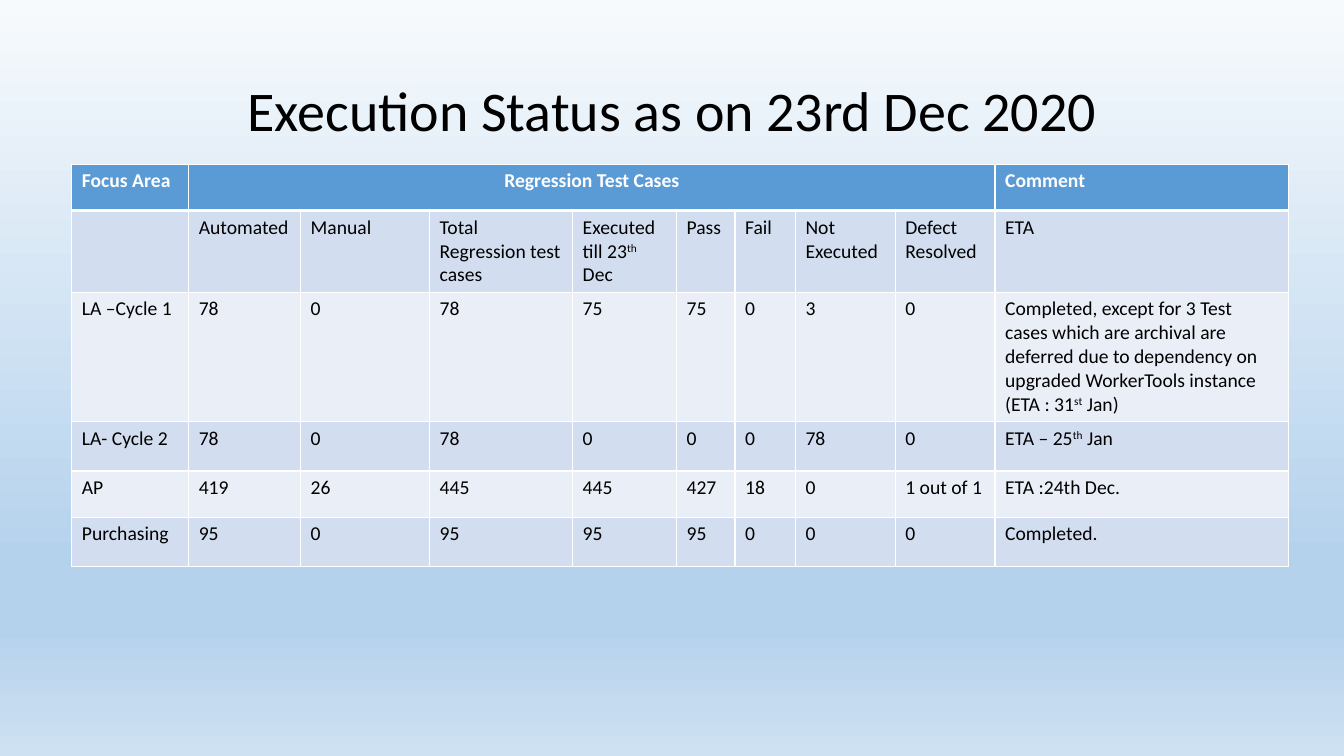
"""Build the regression test execution status slide."""
import pptx
import pptx.util
import pptx.dml.color
import pptx.enum.text
import pptx.oxml
import pptx.oxml.ns

Pt = pptx.util.Pt
ALIGN = pptx.enum.text.PP_ALIGN
NS = pptx.oxml.ns.nsdecls("a")
COLORS = {"sky_top": "F7FAFD", "sky_mid": "B5D2EC", "sky_low": "CEE1F2",
          "header": "5B9BD5", "band_dark": "D2DEEF", "band_light": "EAEFF7",
          "white": "FFFFFF", "black": "000000"}
SKY = [(0, "sky_top"), (74, "sky_mid"), (83, "sky_mid"), (100, "sky_low")]
WIDTHS = [83.5, 79.9, 92.2, 102.2, 74.2, 41.8, 43.2, 71.3, 71.3, 209.5]
HEIGHTS = [33.1, 58, 92, 35.3, 33.1, 35.3]
STATUS = [
    ["Focus Area", "Regression Test Cases"] + [""] * 7 + ["Comment"],
    ["", "Automated", "Manual", "Total Regression test cases", "Executed till 23^th^ Dec",
     "Pass", "Fail", "Not Executed", "Defect Resolved", "ETA"],
    ["LA –Cycle 1", "78", "0", "78", "75", "75", "0", "3", "0",
     "Completed, except for 3 Test cases which are archival are deferred due to "
     "dependency on upgraded WorkerTools instance (ETA : 31^st^ Jan)"],
    ["LA- Cycle 2", "78", "0", "78", "0", "0", "0", "78", "0", "ETA – 25^th^ Jan"],
    ["AP", "419", "26", "445", "445", "427", "18", "0", "1 out of 1", "ETA :24th Dec."],
    ["Purchasing", "95", "0", "95", "95", "95", "0", "0", "0", "Completed."],
]


def style_span(span, size, color, bold=False):
    span.font.name = "Calibri"
    span.font.size = Pt(size)
    span.font.bold = bold
    span.font.color.rgb = pptx.dml.color.RGBColor.from_string(COLORS[color])


def add_border(cell, side, width):
    cell._tc.get_or_add_tcPr().append(pptx.oxml.parse_xml(
        f'<a:ln{side} {NS} w="{Pt(width)}"><a:solidFill>'
        f'<a:srgbClr val="{COLORS["white"]}"/></a:solidFill></a:ln{side}>'))


deck = pptx.Presentation()
deck.slide_width, deck.slide_height = Pt(960), Pt(540)
page = deck.slides.add_slide(deck.slide_layouts[5])

sky = page.background.fill
sky.gradient()
sky.gradient_angle = 270
stops = page._element.find(".//" + pptx.oxml.ns.qn("a:gsLst"))
for stop in list(stops):
    stops.remove(stop)
for percent, color in SKY:
    stops.append(pptx.oxml.parse_xml(
        f'<a:gs {NS} pos="{percent * 1000}"><a:srgbClr val="{COLORS[color]}"/></a:gs>'))

title = page.shapes.title
title.left, title.top, title.width, title.height = Pt(66), Pt(28.8), Pt(828), Pt(104.4)
title.text_frame.text = "Execution Status as on 23rd Dec 2020"
title.text_frame.vertical_anchor = pptx.enum.text.MSO_ANCHOR.MIDDLE
heading = title.text_frame.paragraphs[0]
heading.alignment = ALIGN.CENTER
heading.line_spacing = 0.9
style_span(heading.runs[0], 40, "black")

table = page.shapes.add_table(len(HEIGHTS), len(WIDTHS), Pt(51.3), Pt(117.3),
                              Pt(sum(WIDTHS)), Pt(sum(HEIGHTS))).table
for column, width in zip(table.columns, WIDTHS):
    column.width = Pt(width)
for row, height in zip(table.rows, HEIGHTS):
    row.height = Pt(height)
table.cell(0, 1).merge(table.cell(0, 8))

for r, values in enumerate(STATUS):
    band = "header" if r == 0 else "band_dark" if r % 2 else "band_light"
    for c, value in enumerate(values):
        cell = table.cell(r, c)
        for side in "LRTB":
            thick = (r, side) in [(0, "B"), (1, "T")]
            add_border(cell, side, 3 if thick else 1)
        cell.fill.solid()
        cell.fill.fore_color.rgb = pptx.dml.color.RGBColor.from_string(COLORS[band])
        if not value:
            continue
        para = cell.text_frame.paragraphs[0]
        para.alignment = ALIGN.CENTER if (r, c) == (0, 1) else ALIGN.LEFT
        for i, part in enumerate(value.split("^")):
            span = para.add_run()
            span.text = part
            style_span(span, 14, "black" if r else "white", r == 0)
            if i % 2:
                span.font._element.set("baseline", "30000")

deck.save("out.pptx")
